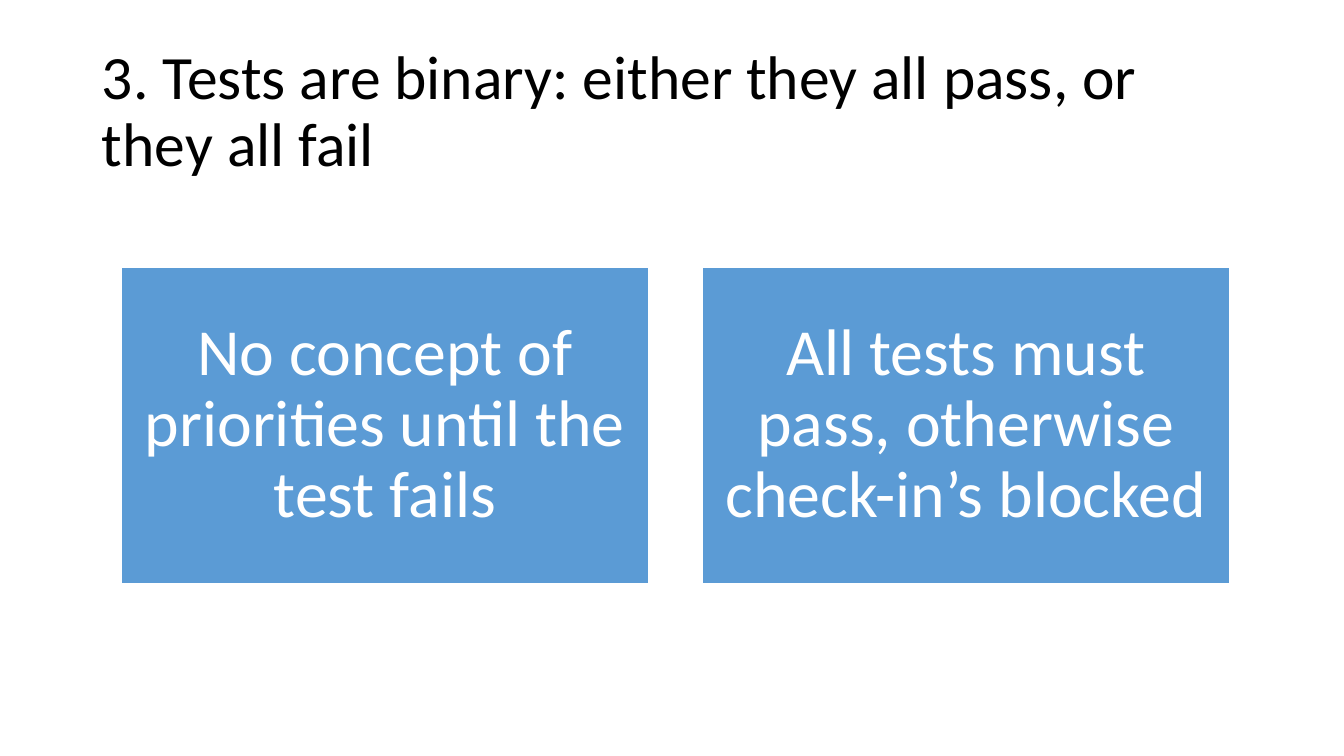
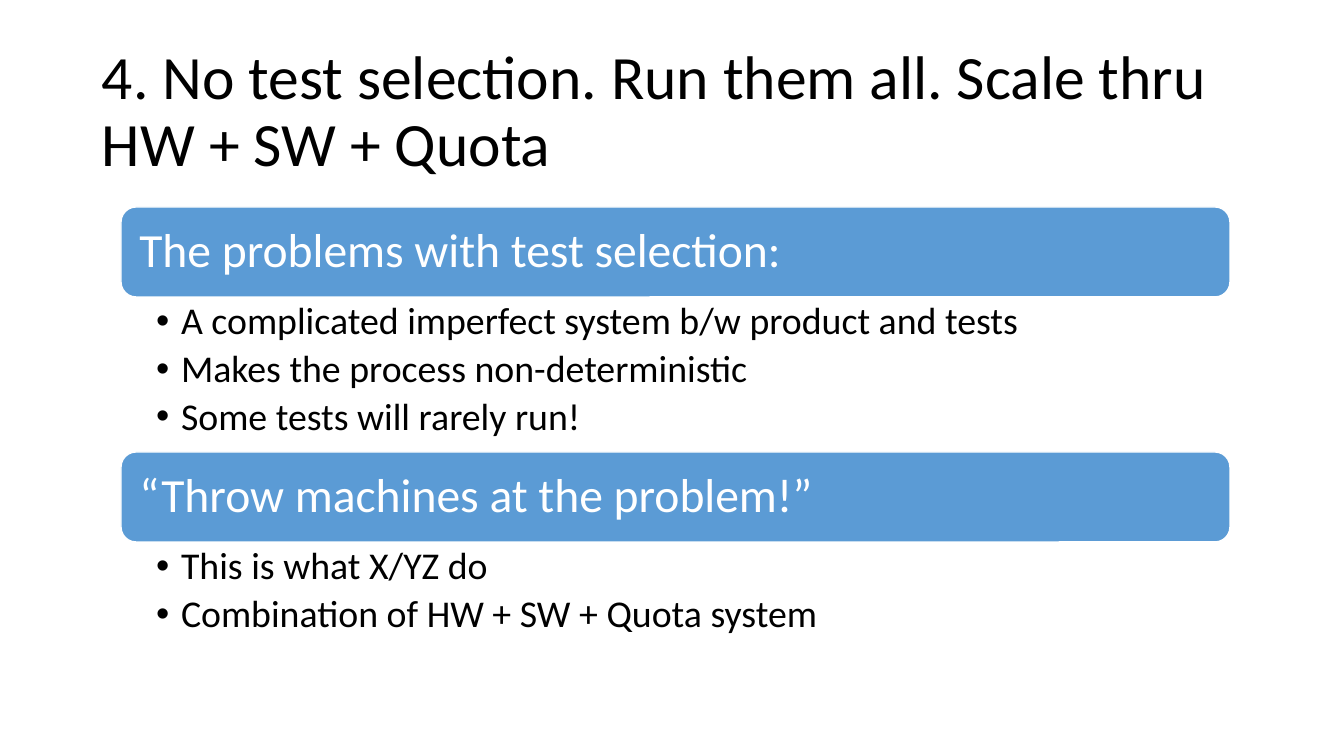
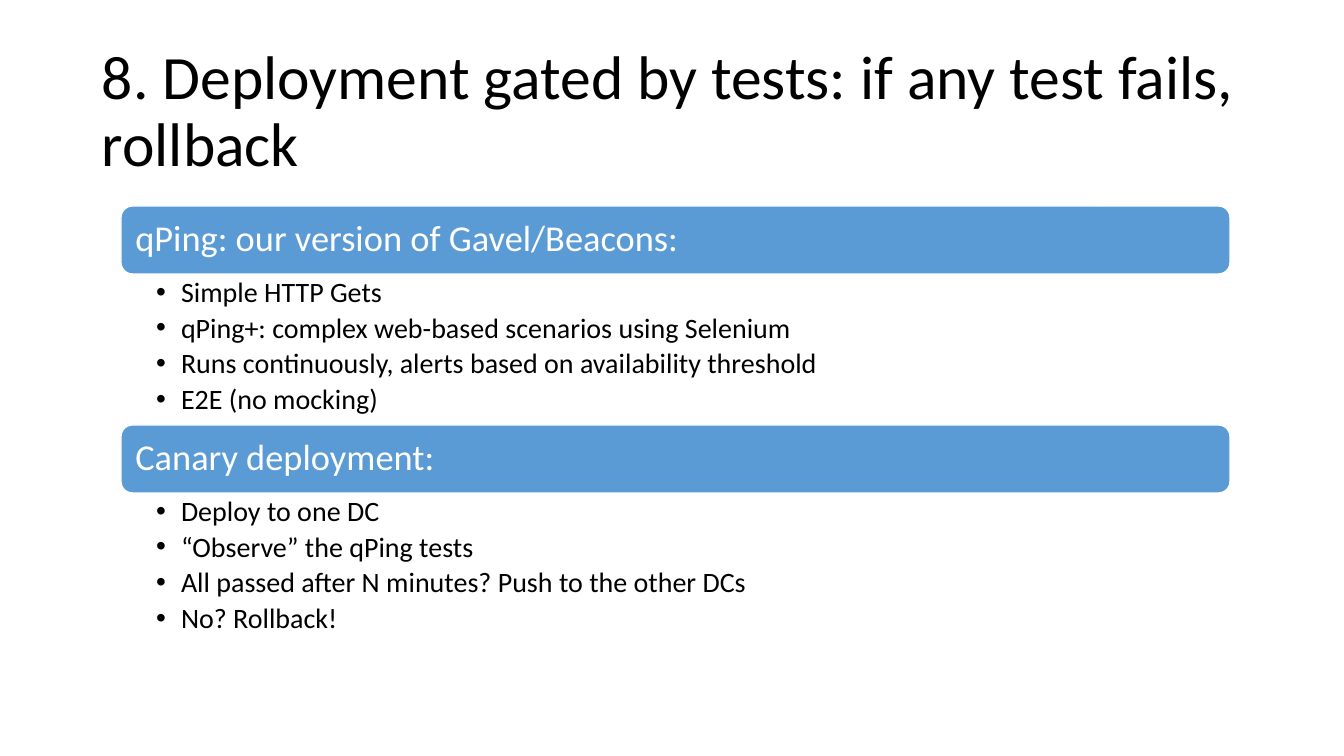
from lxml.etree import SubElement
from pptx import Presentation
from pptx.dml.color import RGBColor
from pptx.enum.shapes import MSO_SHAPE as Preset
from pptx.enum.text import MSO_ANCHOR as Anchor, MSO_AUTO_SIZE as AutoSize, PP_ALIGN as Align
from pptx.oxml.ns import qn
from pptx.util import Pt

EMU_PER_PIXEL = 914400 / 100.8
FONT = "Calibri"
BLUE, WHITE, BLACK = "5B9BD5", "FFFFFF", "000000"
LEFT, WIDTH = 121, 1109
CARD_TOP, CARD_WIDTH, CARD_HEIGHT = 267, 528, 317
BULLET_INDENT = 25


def px(pixels):
    return round(pixels * EMU_PER_PIXEL)


def color(value):
    return RGBColor.from_string(value)


def write(frame, lines, size, ink, insets, align=Align.LEFT, anchor=Anchor.MIDDLE):
    frame.text = "\n".join(lines)
    frame.word_wrap = True
    frame.auto_size = AutoSize.NONE
    frame.vertical_anchor = anchor
    frame.margin_left, frame.margin_top, frame.margin_right, frame.margin_bottom = map(px, insets)
    for paragraph in frame.paragraphs:
        paragraph.alignment = align
        paragraph.line_spacing = 0.9
        for run in paragraph.runs:
            run.font.name = FONT
            run.font.size = Pt(size)
            run.font.color.rgb = color(ink)


def add_titled_slide(deck, heading):
    slide = deck.slides.add_slide(deck.slide_layouts[5])
    title = slide.shapes.title
    title.left, title.top, title.width, title.height = map(px, (92, 40, 1159, 146))
    write(title.text_frame, [heading], 44, BLACK, (10, 5, 10, 5))
    return slide


def add_panel(slide, preset, box, text, size, inset, align):
    panel = slide.shapes.add_shape(preset, *map(px, box))
    panel.shadow.inherit = False
    panel.fill.solid()
    panel.fill.fore_color.rgb = color(BLUE)
    panel.line.color.rgb = color(WHITE)
    panel.line.width = Pt(1)
    write(panel.text_frame, [text], size, WHITE, [inset] * 4, align)


def add_bullets(slide, box, points, size):
    frame = slide.shapes.add_textbox(*map(px, box)).text_frame
    gap = round(size / 5)
    write(frame, points, size, BLACK, (35, gap, 20, gap), anchor=Anchor.TOP)
    for paragraph in frame.paragraphs:
        paragraph.level = 1
        paragraph.space_after = Pt(gap)
        properties = paragraph._p.get_or_add_pPr()
        properties.set("marL", str(px(BULLET_INDENT)))
        properties.set("indent", str(-px(BULLET_INDENT)))
        SubElement(properties, qn("a:buFont"), typeface="Arial")
        SubElement(properties, qn("a:buChar"), char="•")


def add_cards(slide, texts):
    step = WIDTH - CARD_WIDTH
    for column, text in enumerate(texts):
        box = (LEFT + column * step, CARD_TOP, CARD_WIDTH, CARD_HEIGHT)
        add_panel(slide, Preset.RECTANGLE, box, text, 47, 20, Align.CENTER)


def add_sections(slide, top, band_height, band_size, band_inset, bullet_size, sections):
    for heading, points, list_height in sections:
        band = (LEFT, top, WIDTH, band_height)
        add_panel(slide, Preset.ROUNDED_RECTANGLE, band, heading, band_size, band_inset, Align.LEFT)
        top += band_height
        add_bullets(slide, (LEFT, top, WIDTH, list_height), points, bullet_size)
        top += list_height


def main():
    deck = Presentation()
    deck.slide_width, deck.slide_height = px(1344), px(756)

    binary = add_titled_slide(deck, "3. Tests are binary: either they all pass, or they all fail")
    add_cards(binary, [
        "No concept of priorities until the test fails",
        "All tests must pass, otherwise check-in’s blocked",
    ])

    selection = add_titled_slide(deck, "4. No test selection. Run them all. Scale thru HW + SW + Quota")
    add_sections(selection, 207, 90, 34, 14, 27, [
        ("The problems with test selection:", [
            "A complicated imperfect system b/w product and tests",
            "Makes the process non-deterministic",
            "Some tests will rarely run!",
        ], 155),
        ("“Throw machines at the problem!”", [
            "This is what X/YZ do",
            "Combination of HW + SW + Quota system",
        ], 103),
    ])

    deployment = add_titled_slide(deck, "8. Deployment gated by tests: if any test fails, rollback")
    add_sections(deployment, 206, 68, 26, 11, 20, [
        ("qPing: our version of Gavel/Beacons:", [
            "Simple HTTP Gets",
            "qPing+: complex web-based scenarios using Selenium",
            "Runs continuously, alerts based on availability threshold",
            "E2E (no mocking)",
        ], 151),
        ("Canary deployment:", [
            "Deploy to one DC",
            "“Observe” the qPing tests",
            "All passed after N minutes? Push to the other DCs",
            "No? Rollback!",
        ], 151),
    ])

    deck.save("out.pptx")


main()
